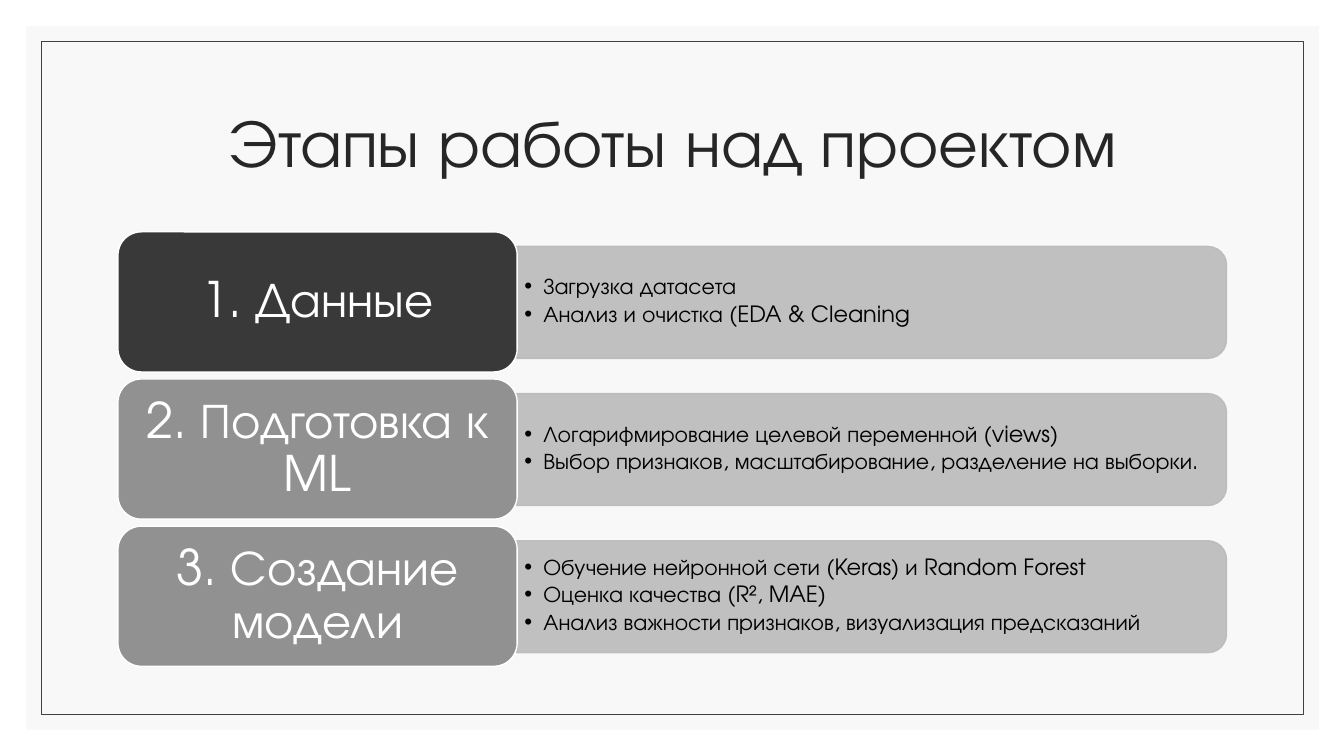
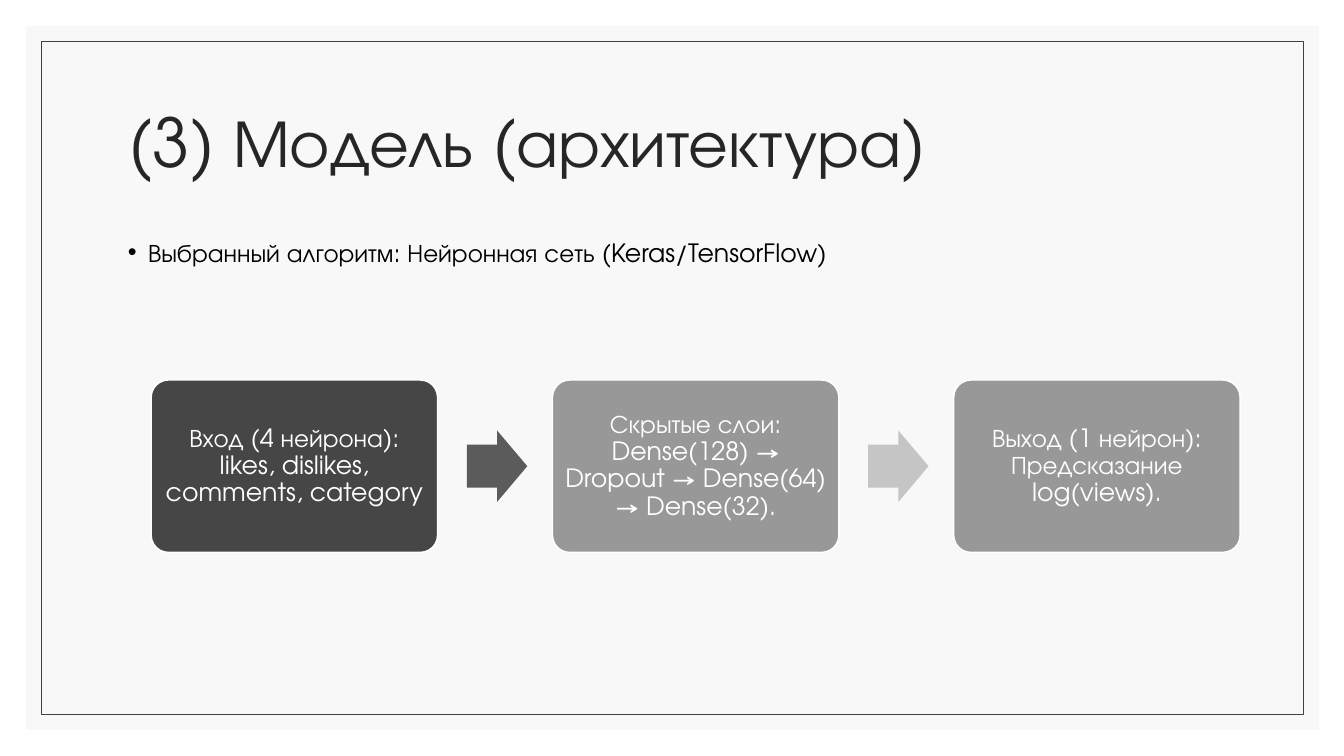
from lxml import etree
from pptx import Presentation
from pptx.dml.color import RGBColor
from pptx.enum.shapes import MSO_SHAPE
from pptx.enum.text import MSO_ANCHOR, PP_ALIGN
from pptx.oxml.ns import qn
from pptx.util import Emu, Pt

RECT, ROUNDED = MSO_SHAPE.RECTANGLE, MSO_SHAPE.ROUNDED_RECTANGLE
ROUND_TOP, ARROW = MSO_SHAPE.ROUND_2_SAME_RECTANGLE, MSO_SHAPE.RIGHT_ARROW
LEFT, CENTER = PP_ALIGN.LEFT, PP_ALIGN.CENTER
TOP, MIDDLE = MSO_ANCHOR.TOP, MSO_ANCHOR.MIDDLE

PX = 9144
FONT = "TeX Gyre Adventor"
COLORS = {
    "panel": "F8F8F8", "frame": "404040", "title": "262626",
    "text": "000000", "white": "FFFFFF", "bar": "BABABA",
    "stage_first": "393939", "stage": "919191",
    "step_first": "464646", "step": "989898",
    "arrow_first": "5B5B5B", "arrow": "C5C5C5",
}
STAGES = [
    ("1. Данные",
     ["Загрузка датасета", "Анализ и очистка (EDA & Cleaning"]),
    ("2. Подготовка к ML",
     ["Логарифмирование целевой переменной (views)",
      "Выбор признаков, масштабирование, разделение на выборки."]),
    ("3. Создание модели",
     ["Обучение нейронной сети (Keras) и Random Forest",
      "Оценка качества (R², MAE)",
      "Анализ важности признаков, визуализация предсказаний"]),
]
STEPS = [
    "Вход (4 нейрона): likes, dislikes, comments, category",
    "Скрытые слои: Dense(128) → Dropout → Dense(64) → Dense(32).",
    "Выход (1 нейрон): Предсказание log(views).",
]


def px(*values):
    """Turn px lengths into EMU."""
    return [Emu(v * PX) for v in values]


def rgb(name):
    """Look up a named colour."""
    return RGBColor.from_string(COLORS[name])


class Deck:
    """Holds the presentation, its style and the current slide."""

    def __init__(self):
        """Set the slide size."""
        self.prs = Presentation()
        self.prs.slide_width, self.prs.slide_height = px(1333, 750)
        self.s = None

    def slide(self, title, align):
        """Start a slide with a styled title."""
        first = self.s is None
        self.s = self.prs.slides.add_slide(self.prs.slide_layouts[5])
        if first:
            self.master_frame()
        sp = self.s.shapes.title
        sp.left, sp.top, sp.width, sp.height = px(117, 70, 1100, 150)
        self.text(sp.text_frame, [title], 48, "title", align, spacing=0.9)

    def master_frame(self):
        """Place the panel and its thin frame on the slide master."""
        panel = self.shape(RECT, (26, 26, 1282, 698), "panel")
        frame = self.shape(RECT, (41, 41, 1252, 668), line="frame", weight=0.5)
        tree = self.prs.slide_master.shapes.element
        for i, sp in enumerate((panel, frame)):
            tree.insert(2 + i, sp.element)

    def shape(self, kind, box, fill=None, line=None, weight=1, adj=()):
        """Add a preset shape without a shadow."""
        sp = self.s.shapes.add_shape(kind, *px(*box))
        sp.shadow.inherit = False
        if fill:
            sp.fill.solid()
            sp.fill.fore_color.rgb = rgb(fill)
        else:
            sp.fill.background()
        if line:
            sp.line.color.rgb = rgb(line)
            sp.line.width = Pt(weight)
        else:
            sp.line.fill.background()
        for i, value in enumerate(adj):
            sp.adjustments[i] = value
        return sp

    def text(self, tf, lines, size, color, align=LEFT, anchor=MIDDLE,
             insets=(10, 5), spacing=1.0, after=0, bullet=0):
        """Fill a text frame with one paragraph per line."""
        tf.word_wrap = True
        tf.vertical_anchor = anchor
        tf.margin_left, tf.margin_top = tf.margin_right, tf.margin_bottom = px(*insets)
        for i, line in enumerate(lines):
            p = tf.add_paragraph() if i else tf.paragraphs[0]
            p.alignment, p.line_spacing = align, spacing
            p.space_before, p.space_after = Pt(0), Pt(after)
            if bullet:
                pPr = p._p.get_or_add_pPr()
                pPr.set("marL", str(bullet * PX))
                pPr.set("indent", str(-bullet * PX))
                etree.SubElement(pPr, qn("a:buFont")).set("typeface", "Arial")
                etree.SubElement(pPr, qn("a:buChar")).set("char", "•")
            r = p.add_run()
            r.text = line
            r.font.name, r.font.size = FONT, Pt(size)
            r.font.color.rgb = rgb(color)

    def card(self, box, label, size, fill, insets, adj=()):
        """Add a rounded card with a white outline and centred text."""
        sp = self.shape(ROUNDED, box, fill, "white", adj=adj)
        self.text(sp.text_frame, [label], size, "white", CENTER,
                  insets=insets, spacing=0.9)

    def bar(self, x, y, w, h):
        """Add a translucent bar rounded on its right side."""
        sp = self.shape(ROUND_TOP, (x + (w - h) // 2, y - (w - h) // 2, h, w),
                        "bar", "bar")
        sp.rotation = 90
        for color in sp.element.spPr.iter(qn("a:srgbClr")):
            etree.SubElement(color, qn("a:alpha")).set("val", "90000")

    def bullets(self, box, lines, size, **style):
        """Add a bulleted text box."""
        sp = self.s.shapes.add_textbox(*px(*box))
        self.text(sp.text_frame, lines, size, "text", **style)


def stages_slide(deck):
    """Build the slide of project stages."""
    deck.slide("Этапы работы над проектом", CENTER)
    for i, (name, tasks) in enumerate(STAGES):
        y = 230 + 146 * i
        deck.bar(513, y + 14, 704, 111)
        deck.bullets((513, y + 19, 699, 100), tasks, 16, insets=(7, 3),
                     spacing=0.9, after=2.4, bullet=19)
        deck.card((117, y, 396, 139), name, 35,
                  "stage" if i else "stage_first", (15, 7))


def model_slide(deck):
    """Build the slide of the model architecture."""
    deck.slide("(3) Модель (архитектура)", LEFT)
    deck.bullets((117, 230, 1100, 52),
                 ["Выбранный алгоритм: Нейронная сеть (Keras/TensorFlow)"],
                 18, anchor=TOP, bullet=20)
    for i, label in enumerate(STEPS):
        x = 150 + 398 * i
        if i:
            deck.shape(ARROW, (x - 85, 427, 60, 71),
                       "arrow" if i > 1 else "arrow_first", adj=(0.6, 0.5))
        deck.card((x, 377, 284, 171), label, 18,
                  "step" if i else "step_first", (7, 7), adj=(0.1,))


def main():
    """Build and save the presentation."""
    deck = Deck()
    stages_slide(deck)
    model_slide(deck)
    deck.prs.save("out.pptx")


if __name__ == "__main__":
    main()
